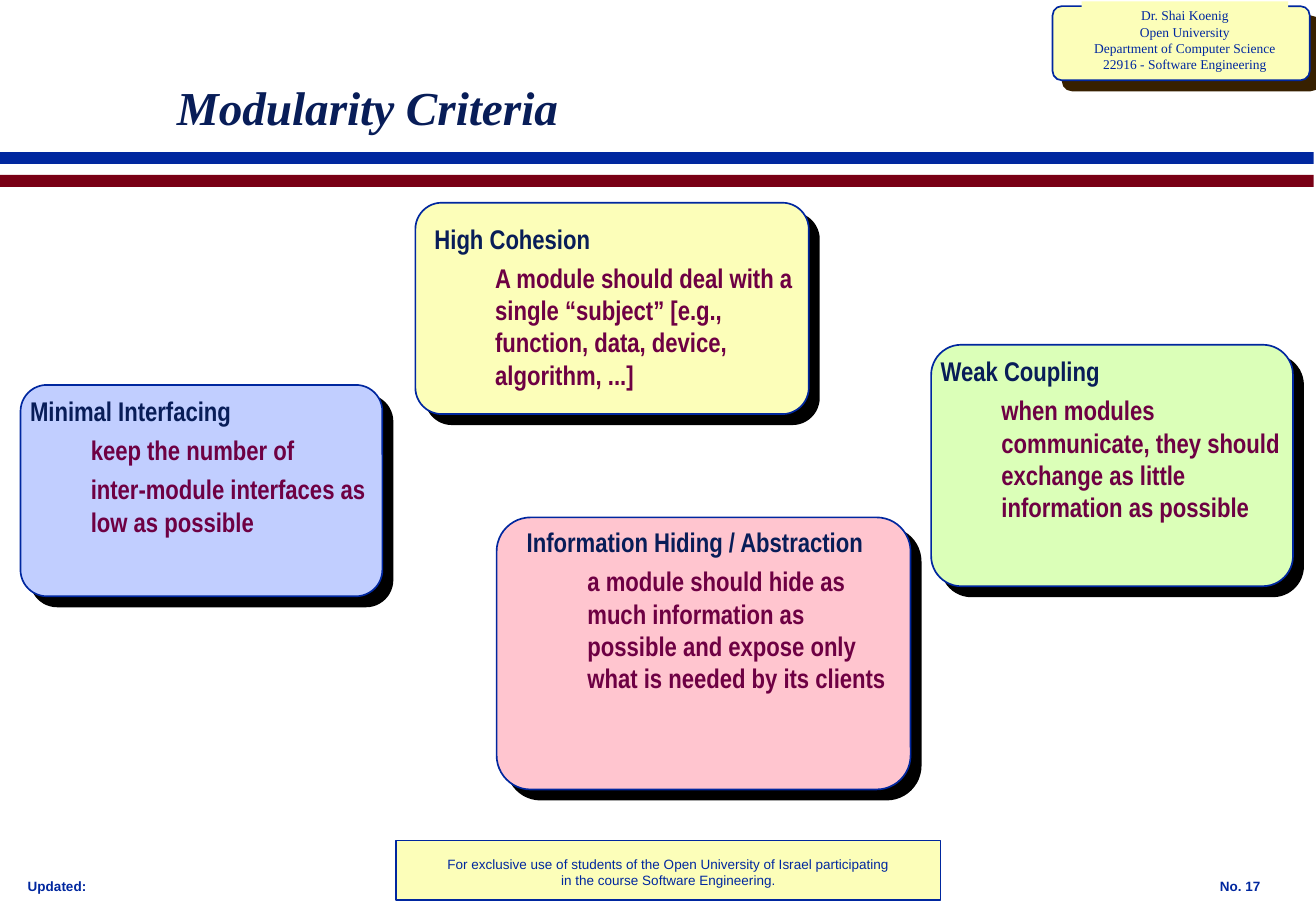
from dataclasses import dataclass

from lxml.etree import SubElement
from pptx import Presentation
from pptx.dml.color import RGBColor
from pptx.enum.shapes import MSO_SHAPE
from pptx.enum.text import MSO_ANCHOR, PP_ALIGN
from pptx.oxml.ns import qn
from pptx.shapes.autoshape import Shape
from pptx.slide import Slide
from pptx.util import Cm, Pt

COLORS = {
    "blue": "00279F", "red": "790015", "navy": "081D58", "plum": "6E0043",
    "yellow": "FCFEB9", "lilac": "C1CEFF", "green": "DBFFB8", "pink": "FFC5CF",
    "brown": "372000", "black": "000000",
}
Box = tuple[float, float, float, float]


@dataclass
class Card:
    box: Box
    text_box: Box
    fill: str
    heading: str
    body: list[str]


CARDS = [
    Card((8.69, 4.24, 8.23, 4.42), (8.84, 4.52, 8.08, 4.45), "yellow", "High Cohesion",
         ["A module should deal with a single “subject” [e.g., function, data, device, "
          "algorithm, ...]"]),
    Card((0.43, 8.05, 7.57, 4.42), (0.38, 8.13, 8.08, 3.91), "lilac", "Minimal Interfacing",
         ["keep the number of", "inter-module interfaces as low as possible"]),
    Card((19.48, 7.21, 7.57, 5.05), (19.43, 7.29, 8.08, 4.45), "green", "Weak Coupling",
         ["when modules communicate, they should exchange as little information as possible"]),
    Card((10.39, 10.82, 8.66, 5.69), (10.77, 10.87, 8.08, 3.78), "pink",
         "Information Hiding / Abstraction",
         ["a module should hide as much information as possible and expose only "
          "what is needed by its clients"]),
]


def rgb(name: str) -> RGBColor:
    return RGBColor.from_string(COLORS[name])


def add_block(s: Slide, box: Box, fill: str, line: str | None = None,
              kind: MSO_SHAPE = MSO_SHAPE.RECTANGLE) -> Shape:
    sp = s.shapes.add_shape(kind, *map(Cm, box))
    sp.shadow.inherit = False
    sp.fill.solid()
    sp.fill.fore_color.rgb = rgb(fill)
    if line:
        sp.line.color.rgb = rgb(line)
        sp.line.width = Pt(1)
    else:
        sp.line.fill.background()
    return sp


def add_panel(s: Slide, box: Box, fill: str, shadow: str) -> None:
    """Rounded rectangle with a hard shadow to the lower right."""
    sp = add_block(s, box, fill, "blue", MSO_SHAPE.ROUNDED_RECTANGLE)
    sp.adjustments[0] = 0.125
    effects = sp._element.spPr.find(qn("a:effectLst"))
    outer = SubElement(effects, qn("a:outerShdw"), blurRad="0", dist=str(Pt(8.5)),
                       dir=str(45 * 60000), algn="tl", rotWithShape="0")
    SubElement(outer, qn("a:srgbClr"), val=COLORS[shadow])


def write(sp: Shape, lines: list[str], *, size: float = 8, font: str = "Arial",
          color: str = "blue", body_color: str | None = None, bold: bool = False,
          italic: bool = False, align: PP_ALIGN = PP_ALIGN.LEFT, before: float = 0,
          anchor: MSO_ANCHOR = MSO_ANCHOR.TOP, wrap: bool = True) -> None:
    """Fill a shape with paragraphs; body_color indents all after the first."""
    tf = sp.text_frame
    tf.word_wrap = wrap
    tf.vertical_anchor = anchor
    for i, line in enumerate(lines):
        p = tf.add_paragraph() if i else tf.paragraphs[0]
        p.alignment = align
        p.space_before = Pt(before)
        is_body = i > 0 and body_color is not None
        if is_body:
            p.level = 1
            pPr = p._p.get_or_add_pPr()
            pPr.set("marL", str(Cm(1.27)))
            pPr.set("indent", "0")
        r = p.add_run()
        r.text = line
        r.font.name = font
        r.font.size = Pt(size)
        r.font.bold = bold
        r.font.italic = italic
        r.font.color.rgb = rgb(body_color if is_body else color)


def add_text(s: Slide, box: Box, lines: list[str], **fmt) -> None:
    write(s.shapes.add_textbox(*map(Cm, box)), lines, **fmt)


def add_frame(s: Slide) -> None:
    """Bars, course label and footer around the content."""
    add_block(s, (8.28, 17.58, 11.4, 1.24), "yellow", "blue")
    add_block(s, (0, 3.18, 27.48, 0.25), "blue")
    add_block(s, (0, 3.66, 27.48, 0.25), "red")
    add_panel(s, (22.02, 0.13, 5.38, 1.55), "yellow", "brown")
    label = add_block(s, (22.63, 0.03, 4.32, 1.6), "yellow")
    write(label, ["Dr. Shai Koenig", "Open University", "Department of Computer Science",
                  "22916 - Software Engineering"],
          font="Times New Roman", align=PP_ALIGN.CENTER, wrap=False)
    add_text(s, (0.33, 18.24, 2.92, 0.58), ["Updated:"], bold=True)
    add_text(s, (25.27, 18.24, 2.2, 0.58), ["No. 17"], bold=True)
    add_text(s, (8.46, 17.78, 11.05, 0.94),
             ["For exclusive use of students of the Open University of Israel participating",
              "in the course Software Engineering."], align=PP_ALIGN.CENTER)


def main() -> None:
    prs = Presentation()
    prs.slide_width, prs.slide_height = Cm(27.53), Cm(19.05)
    s = prs.slides.add_slide(prs.slide_layouts[6])
    add_frame(s)
    add_text(s, (3.45, 1.27, 21.59, 1.9), ["Modularity Criteria"], size=28,
             font="Times New Roman", color="navy", bold=True, italic=True,
             anchor=MSO_ANCHOR.MIDDLE)
    for card in CARDS:
        add_panel(s, card.box, card.fill, "black")
        add_text(s, card.text_box, [card.heading, *card.body], size=16, font="Arial Narrow",
                 color="navy", body_color="plum", bold=True, before=4)
    prs.save("out.pptx")


if __name__ == "__main__":
    main()
